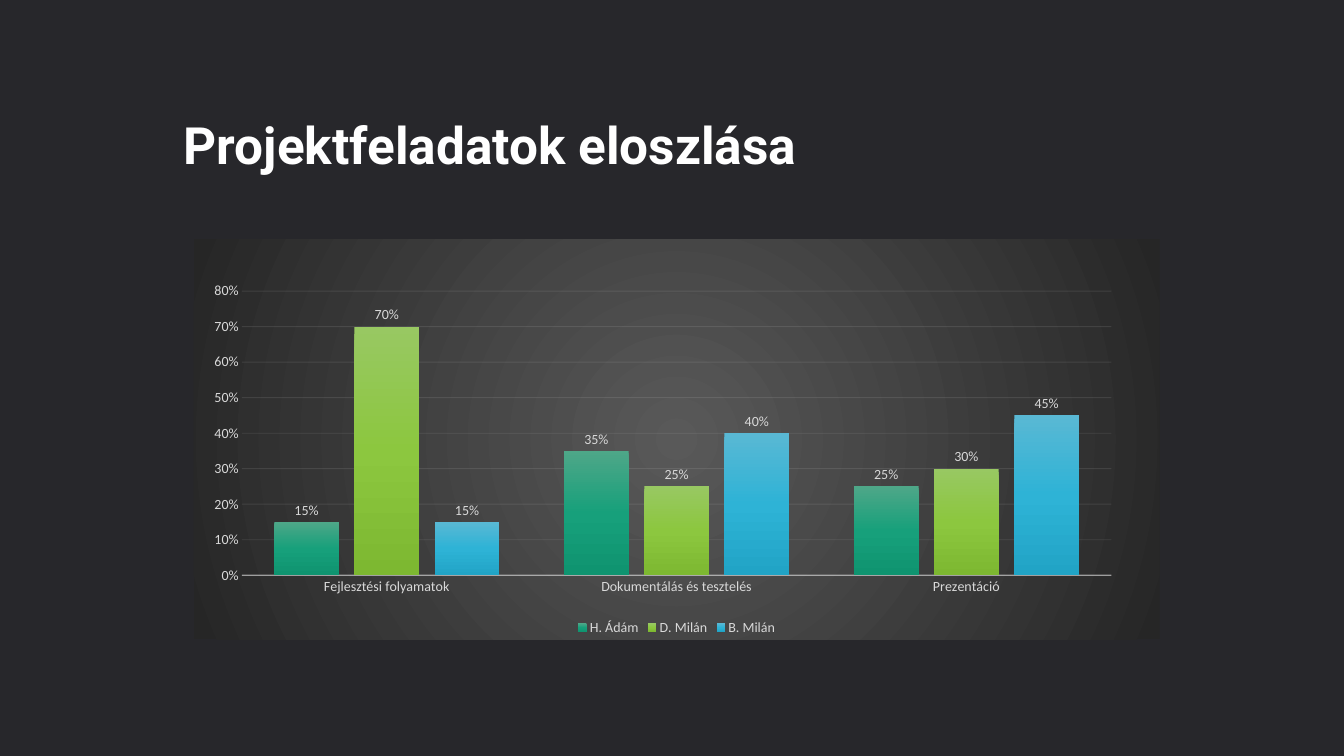
from lxml import etree
from pptx import Presentation
from pptx.chart.data import CategoryChartData
from pptx.dml.color import RGBColor
from pptx.enum.chart import XL_CHART_TYPE as ChartType
from pptx.enum.chart import XL_LABEL_POSITION as LabelPosition
from pptx.enum.chart import XL_LEGEND_POSITION as LegendPosition
from pptx.enum.chart import XL_TICK_MARK as TickMark
from pptx.enum.text import MSO_ANCHOR as Anchor
from pptx.enum.text import MSO_AUTO_SIZE as AutoSize
from pptx.enum.text import PP_ALIGN as Align
from pptx.oxml import parse_xml
from pptx.oxml.ns import nsdecls, qn
from pptx.util import Pt

BACKGROUND, WHITE, LABEL, LINE = "27272B", "FFFFFF", "D9D9D9", "F2F2F2"
PANEL_STOPS = [(0, "595959"), (100, "262626")]
TASKS = ["Fejlesztési folyamatok", "Dokumentálás és tesztelés", "Prezentáció"]
# Member: shares of each task, gradient from top to bottom
MEMBERS = {
    "H. Ádám": ([0.15, 0.35, 0.25], ["4EA788", "17A07B", "0F9470"]),
    "D. Milán": ([0.7, 0.25, 0.3], ["98C862", "8CC73F", "7DB831"]),
    "B. Milán": ([0.15, 0.4, 0.45], ["59B8D4", "2EB3D6", "21A4C6"]),
}
PLOT_LAYOUT = {"x": 0.05, "y": 0.13, "w": 0.9, "h": 0.71}
LINEAR = '<a:lin ang="5400000" scaled="0"/>'
RADIAL = ('<a:path path="circle">'
          '<a:fillToRect l="50000" t="50000" r="50000" b="50000"/></a:path>')


def color(hex_code):
    return RGBColor.from_string(hex_code)


def style_font(font, size, hex_code, name="Calibri", bold=False):
    font.size, font.name, font.bold = Pt(size), name, bold
    font.color.rgb = color(hex_code)


def style_line(line, hex_code, width, opacity):
    line.width = Pt(width)
    line.color.rgb = color(hex_code)
    # Line transparency
    for tone in line._ln.iter(qn("a:srgbClr")):
        etree.SubElement(tone, qn("a:alpha")).set("val", str(opacity * 1000))


def gradient_properties(stops, direction):
    """Shape properties with a gradient fill and no outline."""
    marks = "".join(f'<a:gs pos="{place * 1000}"><a:srgbClr val="{tone}"/></a:gs>'
                    for place, tone in stops)
    return parse_xml(
        f'<c:spPr {nsdecls("c", "a")}><a:gradFill rotWithShape="1">'
        f'<a:gsLst>{marks}</a:gsLst>{direction}</a:gradFill>'
        '<a:ln><a:noFill/></a:ln></c:spPr>')


def add_title(slide, left, top, width, height):
    title = slide.shapes.title
    title.left, title.top, title.width, title.height = map(Pt, (left, top, width, height))
    frame = title.text_frame
    frame.margin_left = frame.margin_right = frame.margin_top = frame.margin_bottom = 0
    frame.vertical_anchor = Anchor.TOP
    frame.auto_size = AutoSize.NONE
    frame.word_wrap = True
    para = frame.paragraphs[0]
    para.text = "Projektfeladatok eloszlása"
    para.alignment = Align.LEFT
    para.line_spacing = Pt(55)
    style_font(para.font, 44, WHITE, "Roboto", True)


def style_axes(chart):
    for axis in (chart.category_axis, chart.value_axis):
        axis.major_tick_mark = axis.minor_tick_mark = TickMark.NONE
        style_font(axis.tick_labels.font, 12, LABEL)
    style_line(chart.category_axis.format.line, LINE, 1, 54)
    values = chart.value_axis
    values.minimum_scale, values.maximum_scale, values.major_unit = 0, 0.8, 0.1
    values.tick_labels.number_format = "0%"
    values.tick_labels.number_format_is_linked = False
    values.format.line.fill.background()
    values.has_major_gridlines = True
    style_line(values.major_gridlines.format.line, LINE, 0.75, 10)


def style_series(series, tones):
    series.format.fill.solid()
    properties = series._element.find(qn("c:spPr"))
    stops = zip((0, 50, 100), tones)
    properties.getparent().replace(properties, gradient_properties(stops, LINEAR))
    labels = series.data_labels
    labels.show_value = True
    labels.position = LabelPosition.OUTSIDE_END
    labels.number_format, labels.number_format_is_linked = "0%", False
    style_font(labels.font, 12, LABEL)


def place_plot(chart):
    area = chart._chartSpace.find(f'{qn("c:chart")}/{qn("c:plotArea")}')
    for old_layout in area.findall(qn("c:layout")):
        area.remove(old_layout)
    modes = '<c:xMode val="edge"/><c:yMode val="edge"/>'
    sizes = "".join(f'<c:{side} val="{share}"/>' for side, share in PLOT_LAYOUT.items())
    area.insert(0, parse_xml(
        f'<c:layout {nsdecls("c")}><c:manualLayout><c:layoutTarget val="inner"/>'
        f'{modes}{sizes}</c:manualLayout></c:layout>'))


def add_task_chart(slide, left, top, width, height):
    table = CategoryChartData(number_format="0%")
    table.categories = TASKS
    for member, (shares, _) in MEMBERS.items():
        table.add_series(member, shares)
    chart = slide.shapes.add_chart(ChartType.COLUMN_CLUSTERED, Pt(left), Pt(top),
                                   Pt(width), Pt(height), table).chart
    style_font(chart.font, 10, "000000")
    chart.has_title = False
    # Legend
    chart.has_legend = True
    chart.legend.position = LegendPosition.BOTTOM
    chart.legend.include_in_layout = False
    style_font(chart.legend.font, 12, LABEL)
    # Columns
    plot = chart.plots[0]
    plot.gap_width, plot.overlap, plot.vary_by_categories = 100, -24, False
    for series in plot.series:
        style_series(series, MEMBERS[series.name][1])
    style_axes(chart)
    place_plot(chart)
    # Panel behind the columns
    chart._chartSpace.find(qn("c:chart")).addnext(gradient_properties(PANEL_STOPS, RADIAL))


def main():
    deck = Presentation()
    deck.slide_width, deck.slide_height = Pt(1152), Pt(648)
    slide = deck.slides.add_slide(deck.slide_layouts[5])
    slide.background.fill.solid()
    slide.background.fill.fore_color.rgb = color(BACKGROUND)
    add_title(slide, 157.5, 95, 581, 110)
    add_task_chart(slide, 166, 205, 828, 343)
    deck.save("out.pptx")


if __name__ == "__main__":
    main()
